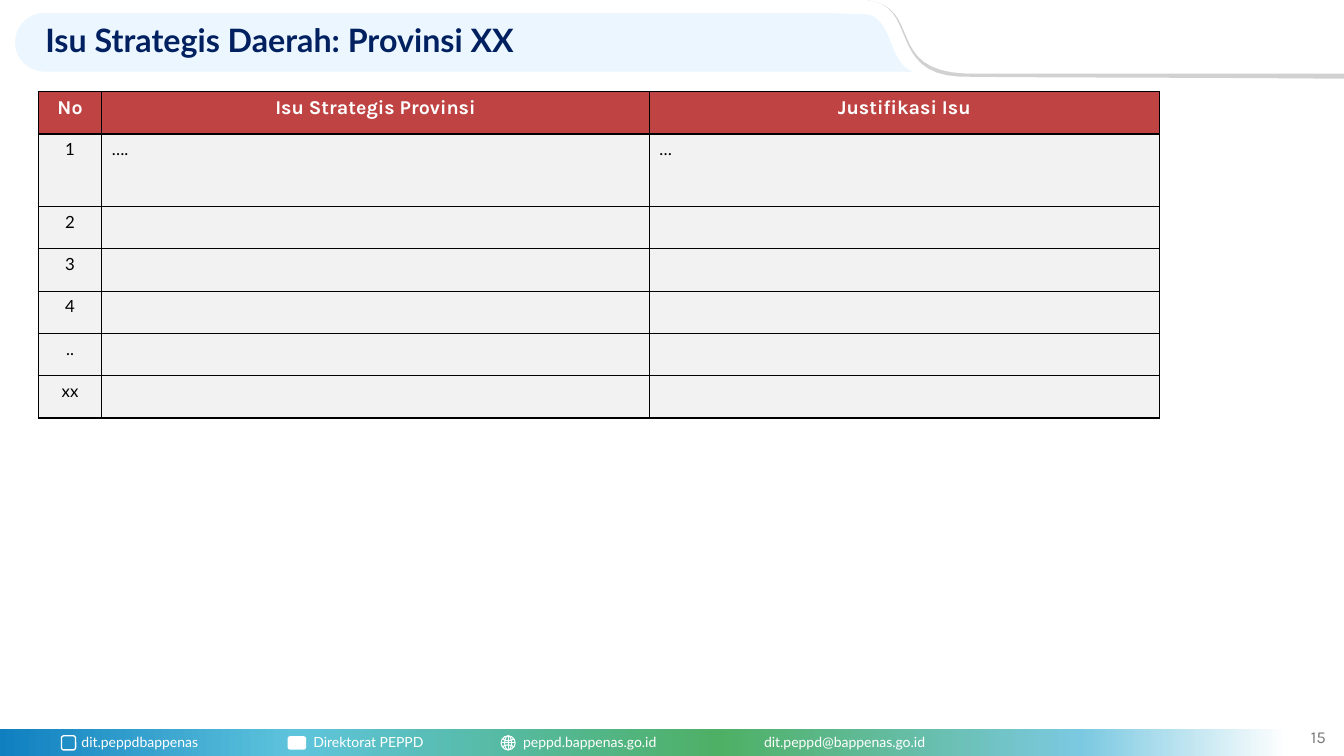
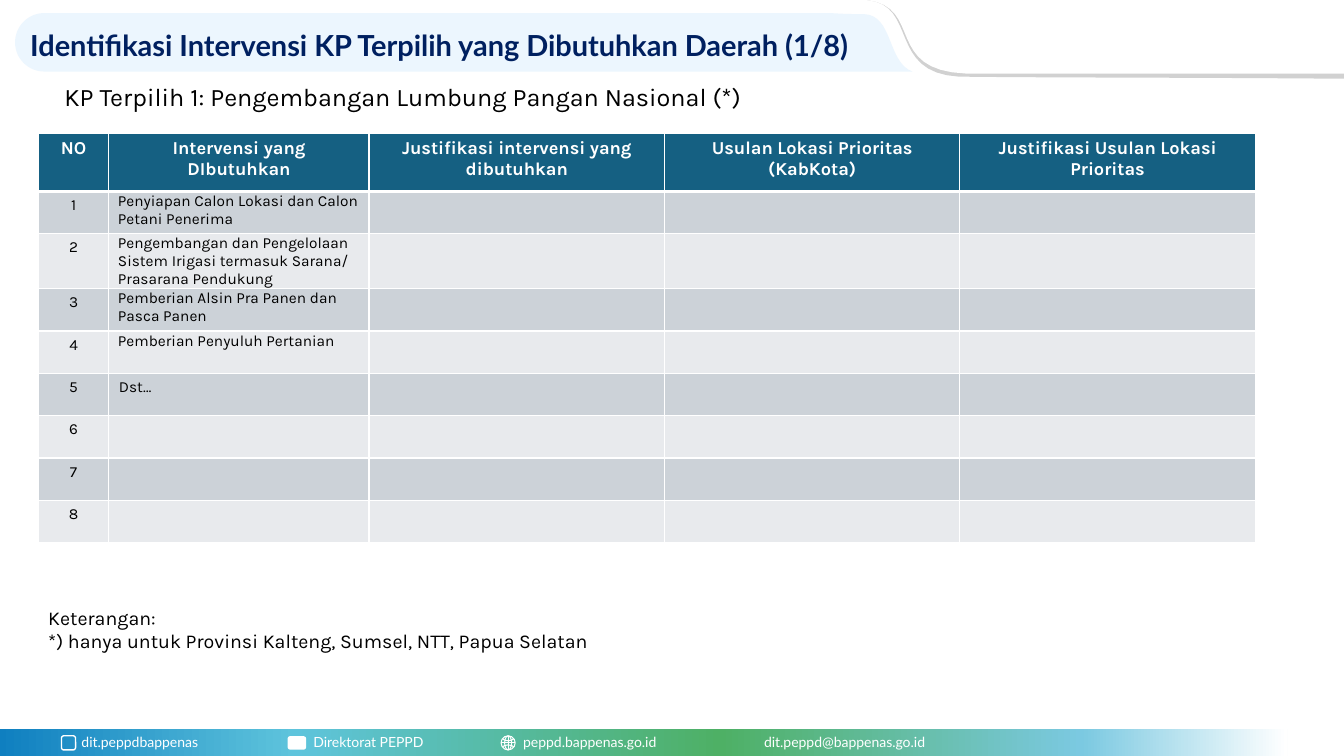
from dataclasses import dataclass

from lxml import etree
from pptx import Presentation
from pptx.dml.color import RGBColor
from pptx.enum.shapes import MSO_CONNECTOR, MSO_SHAPE
from pptx.enum.text import MSO_ANCHOR, MSO_AUTO_SIZE, PP_ALIGN
from pptx.oxml import parse_xml
from pptx.oxml.ns import nsdecls, qn
from pptx.util import Inches, Pt

LEFT, CENTER, RIGHT = PP_ALIGN.LEFT, PP_ALIGN.CENTER, PP_ALIGN.RIGHT
TOP, MIDDLE = MSO_ANCHOR.TOP, MSO_ANCHOR.MIDDLE
RECT, ROUNDED = MSO_SHAPE.RECTANGLE, MSO_SHAPE.ROUNDED_RECTANGLE
OVAL, ARC = MSO_SHAPE.OVAL, MSO_SHAPE.ARC
TITLE_ONLY = 5


@dataclass(frozen=True)
class Theme:
    heading_font: str = "Lato"
    body_font: str = "Karla"
    white: str = "FFFFFF"
    black: str = "000000"
    navy: str = "002060"
    title_band: str = "ECF6FE"
    swoosh: str = "D1D1D1"
    page_grey: str = "797979"
    red: str = "BF4342"
    pale: str = "F2F2F2"
    teal: str = "156082"
    stripe_dark: str = "CCD2D8"
    stripe_light: str = "E8EAED"
    footer_stops: tuple = ((0, "0F7FC0"), (23, "5EC4DC"), (56, "4EB065"),
                           (84, "7BC9E1"), (100, "FFFFFF"))
    footer_size: float = 10
    page_size: float = 12
    subtitle_size: float = 18
    note_size: float = 14


THEME = Theme()

FOOTER_LABELS = [
    ("dit.peppdbappenas", 0.71, 1.81),
    ("Direktorat PEPPD", 3.01, 1.63),
    ("peppd.bappenas.go.id", 5.09, 2.05),
    ("dit.peppd@bappenas.go.id", 7.48, 2.44),
]

# Outlines: a pair is a straight step, six numbers are a Bezier curve.
TITLE_BAND = [(0.44, 0.13), (8.24, 0.13), (8.39, 0.14, 8.48, 0.14, 8.57, 0.14),
              (8.86, 0.15, 8.8, 0.62, 9.05, 0.71), (0.44, 0.71),
              (0.28, 0.71, 0.15, 0.58, 0.15, 0.42),
              (0.15, 0.26, 0.28, 0.13, 0.44, 0.13)]
SWOOSH_EDGE = [(13.33, -0.01), (13.33, 0.78), (13.19, 0.78),
               (12.18, 0.77, 10.19, 0.77, 9.51, 0.76),
               (8.8, 0.72, 9.11, 0.05, 8.6, 0)]
SWOOSH_COVER = [(13.33, 0), (13.33, 0.73), (9.58, 0.73),
                (8.77, 0.7, 9.16, 0.07, 8.6, 0)]

ISSUES = {
    "at": (0.38, 0.91),
    "columns": [0.63, 5.43, 5.06],
    "heights": [0.42, 0.72] + [0.42] * 5,
    "rows": [
        ["No", "Isu Strategis Provinsi", "Justifikasi Isu"],
        ["1", "….", "…"],
        ["2"], ["3"], ["4"], [".."], ["xx"],
    ],
    "header_fill": THEME.red, "header_size": 14,
    "stripes": [THEME.pale], "size": 12, "font": THEME.heading_font,
    "border": THEME.black, "header_rule": 1, "tight_rows": [],
}
INTERVENTIONS = {
    "at": (0.38, 1.32),
    "columns": [0.7, 2.58] + [2.93] * 3,
    "heights": [0.58, 0.42, 0.48] + [0.42] * 6,
    "rows": [
        ["NO", "Intervensi yang DIbutuhkan", "Justifikasi intervensi yang dibutuhkan",
         "Usulan Lokasi Prioritas (KabKota)", "Justifikasi Usulan Lokasi Prioritas"],
        ["1", "Penyiapan Calon Lokasi dan Calon Petani Penerima"],
        ["2", "Pengembangan dan Pengelolaan Sistem Irigasi termasuk Sarana/ "
              "Prasarana Pendukung"],
        ["3", "Pemberian Alsin Pra Panen dan Pasca Panen"],
        ["4", "Pemberian Penyuluh Pertanian"],
        ["5", "Dst…"],
        ["6"], ["7"], ["8"],
    ],
    "header_fill": THEME.teal, "header_size": 13,
    "stripes": [THEME.stripe_dark, THEME.stripe_light], "size": 11,
    "font": THEME.body_font,
    "border": THEME.white, "header_rule": 3, "tight_rows": [1, 2, 3, 4],
}
SUBTITLE = "KP Terpilih 1: Pengembangan Lumbung Pangan Nasional (*)"
NOTES = ["Keterangan:", "*) hanya untuk Provinsi Kalteng, Sumsel, NTT, Papua Selatan"]


def rgb(color):
    return RGBColor.from_string(color)


def box(*lengths):
    return [Inches(length) for length in lengths]


def add_run(paragraph, text, size, color, font, bold=False):
    run = paragraph.add_run()
    run.text = text
    run.font.size, run.font.name, run.font.bold = Pt(size), font, bold
    run.font.color.rgb = rgb(color)


def add_label(slide, at, lines, size, color, font, align=LEFT, anchor=TOP):
    frame = slide.shapes.add_textbox(*box(*at)).text_frame
    frame.word_wrap = True
    frame.vertical_anchor = anchor
    for index, line in enumerate(lines):
        paragraph = frame.add_paragraph() if index else frame.paragraphs[0]
        paragraph.alignment = align
        add_run(paragraph, line, size, color, font)


def style_shape(shape, fill=None, line=None, width=1):
    shape.shadow.inherit = False
    if fill:
        shape.fill.solid()
        shape.fill.fore_color.rgb = rgb(fill)
    else:
        shape.fill.background()
    if line:
        shape.line.color.rgb = rgb(line)
        shape.line.width = Pt(width)
    else:
        shape.line.fill.background()


def add_outline(slide, steps, fill, samples=16):
    """Draw a closed outline, turning each Bezier step into short segments."""
    points = [steps[0]]
    for step in steps[1:]:
        if len(step) == 2:
            points.append(step)
            continue
        controls = [points[-1], step[:2], step[2:4], step[4:]]
        for i in range(1, samples + 1):
            t = i / samples
            weights = ((1 - t) ** 3, 3 * t * (1 - t) ** 2, 3 * t * t * (1 - t), t ** 3)
            points.append(tuple(sum(w * c[axis] for w, c in zip(weights, controls))
                                for axis in (0, 1)))
    points = [box(*point) for point in points]
    builder = slide.shapes.build_freeform(*points[0], scale=1.0)
    builder.add_line_segments(points[1:], close=True)
    style_shape(builder.convert_to_shape(), fill)


def add_globe(slide, left, top, size):
    def outline(kind, *at):
        shape = slide.shapes.add_shape(kind, *box(*at))
        style_shape(shape, line=THEME.white, width=0.75)
        return shape

    middle, center = left + size / 2, top + size / 2
    outline(OVAL, left, top, size, size)
    outline(OVAL, middle - size / 4, top, size / 2, size)
    for arc_top, start, end in ((top - 0.05, 30, 150), (top + 0.09, 210, 330)):
        arc = outline(ARC, left, arc_top, size, 0.1)
        # Arc angles are stored in 60000ths of a degree, adjustments in 100000ths.
        arc.adjustments[0], arc.adjustments[1] = start * 0.6, end * 0.6
    for ends in ((left, center, left + size, center), (middle, top, middle, top + size)):
        line = slide.shapes.add_connector(MSO_CONNECTOR.STRAIGHT, *box(*ends))
        line.line.color.rgb = rgb(THEME.white)
        line.line.width = Pt(0.75)
        etree.SubElement(line._element.spPr, qn("a:effectLst"))


def add_footer(slide):
    band = slide.shapes.add_shape(RECT, *box(-0.01, 7.23, 12.78, 0.28))
    style_shape(band)
    band.fill.gradient()
    band.fill.gradient_angle = 0
    stops = band._element.spPr.find(qn("a:gradFill")).find(qn("a:gsLst"))
    for stop in list(stops):
        stops.remove(stop)
    for position, color in THEME.footer_stops:
        stops.append(parse_xml(f'<a:gs {nsdecls("a")} pos="{position * 1000}">'
                               f'<a:srgbClr val="{color}"/></a:gs>'))
    photo_mark = slide.shapes.add_shape(ROUNDED, *box(0.61, 7.3, 0.14, 0.14))
    style_shape(photo_mark, line=THEME.white)
    video_mark = slide.shapes.add_shape(ROUNDED, *box(2.86, 7.31, 0.17, 0.12))
    style_shape(video_mark, THEME.white, THEME.white)
    add_globe(slide, 4.97, 7.3, 0.14)
    for text, left, width in FOOTER_LABELS:
        add_label(slide, (left, 7.23, width, 0.27), [text], THEME.footer_size,
                  THEME.white, THEME.heading_font)


def add_slide(prs, title_text, title_at, title_size):
    slide = prs.slides.add_slide(prs.slide_layouts[TITLE_ONLY])
    add_outline(slide, TITLE_BAND, THEME.title_band)
    add_outline(slide, SWOOSH_EDGE, THEME.swoosh)
    add_outline(slide, SWOOSH_COVER, THEME.white)
    add_footer(slide)
    title = slide.shapes.title
    title.left, title.top, title.width, title.height = box(*title_at)
    frame = title.text_frame
    frame.word_wrap = True
    frame.auto_size = MSO_AUTO_SIZE.NONE
    frame.vertical_anchor = MIDDLE
    paragraph = frame.paragraphs[0]
    paragraph.alignment, paragraph.line_spacing = LEFT, 0.9
    add_run(paragraph, title_text, title_size, THEME.navy, THEME.heading_font, bold=True)
    slide.shapes._spTree.append(title._element)  # bring the title above its band
    return slide


def set_borders(cell, color, top=1, bottom=1):
    properties = cell._tc.get_or_add_tcPr()
    for side, width in (("L", 1), ("R", 1), ("T", top), ("B", bottom)):
        properties.append(parse_xml(
            f'<a:ln{side} {nsdecls("a")} w="{Pt(width)}"><a:solidFill>'
            f'<a:srgbClr val="{color}"/></a:solidFill></a:ln{side}>'))


def add_grid(slide, spec):
    columns, heights, stripes = spec["columns"], spec["heights"], spec["stripes"]
    table = slide.shapes.add_table(len(heights), len(columns), *box(
        *spec["at"], sum(columns), sum(heights))).table
    table.horz_banding = False
    for column, width in zip(table.columns, columns):
        column.width = Inches(width)
    for r, (texts, height) in enumerate(zip(spec["rows"], heights)):
        table.rows[r].height = Inches(height)
        header = r == 0
        fill = spec["header_fill"] if header else stripes[(r - 1) % len(stripes)]
        for c in range(len(columns)):
            cell = table.cell(r, c)
            set_borders(cell, spec["border"],
                        top=spec["header_rule"] if r == 1 else 1,
                        bottom=spec["header_rule"] if header else 1)
            cell.fill.solid()
            cell.fill.fore_color.rgb = rgb(fill)
            if c >= len(texts):
                continue
            if c == 1 and r in spec["tight_rows"]:
                cell.margin_left, cell.margin_top, cell.margin_right, cell.margin_bottom = (
                    box(0.09, 0.01, 0.01, 0))
            paragraph = cell.text_frame.paragraphs[0]
            paragraph.alignment = CENTER if header or c == 0 else LEFT
            if header:
                add_run(paragraph, texts[c], spec["header_size"], THEME.white,
                        THEME.body_font, bold=True)
            else:
                add_run(paragraph, texts[c], spec["size"], THEME.black, spec["font"])


def main():
    prs = Presentation()
    prs.slide_width, prs.slide_height = box(13.33, 7.5)

    issues = add_slide(prs, "Isu Strategis Daerah: Provinsi XX",
                       (0.35, 0.18, 8.05, 0.48), 23)
    add_label(issues, (12.65, 7.15, 0.6, 0.32), ["15"], THEME.page_size,
              THEME.page_grey, THEME.body_font, RIGHT, MIDDLE)
    add_grid(issues, ISSUES)

    interventions = add_slide(
        prs, "Identifikasi Intervensi KP Terpilih yang Dibutuhkan Daerah (1/8)",
        (0.2, 0.18, 9.13, 0.57), 20.7)
    add_grid(interventions, INTERVENTIONS)
    add_label(interventions, (0.54, 0.76, 7.5, 0.4), [SUBTITLE], THEME.subtitle_size,
              THEME.black, THEME.body_font)
    add_label(interventions, (0.38, 5.96, 9.71, 0.57), NOTES, THEME.note_size,
              THEME.black, THEME.body_font)

    prs.save("out.pptx")


if __name__ == "__main__":
    main()
